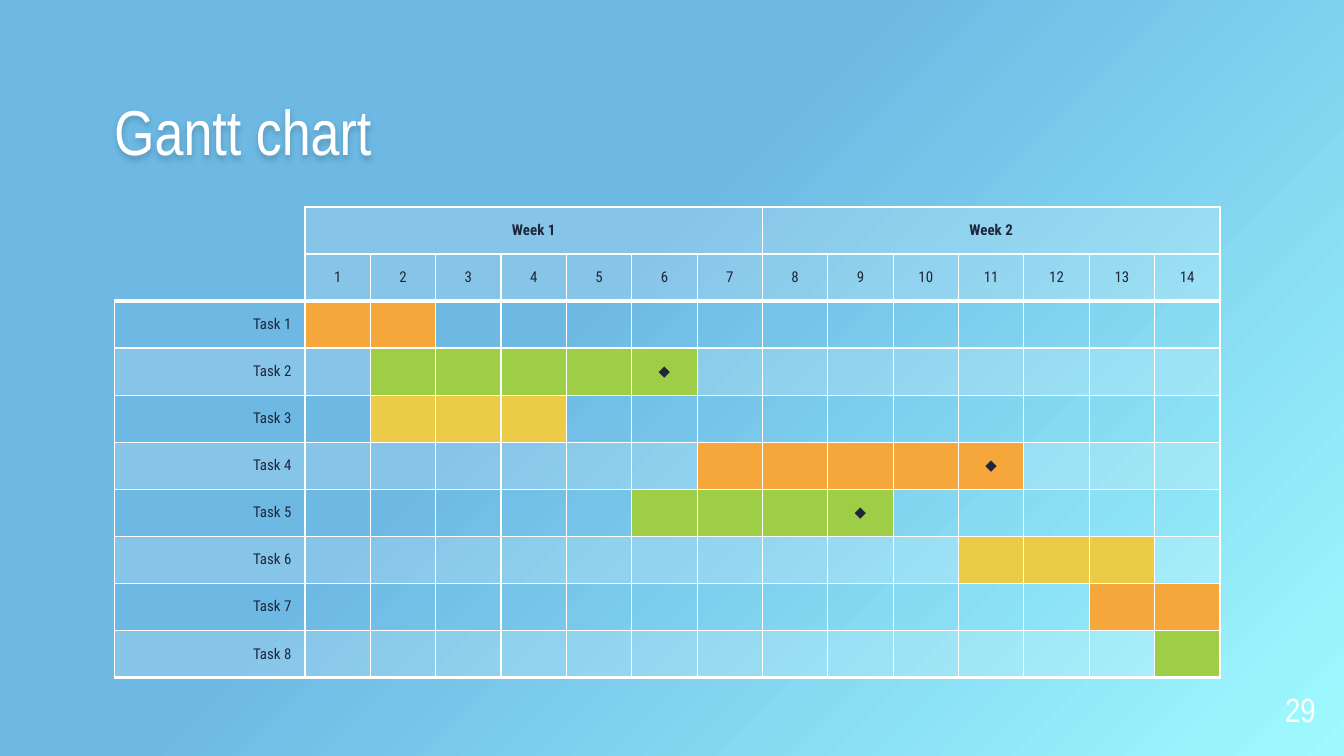
import dataclasses

import lxml.etree
import pptx
import pptx.dml.color
import pptx.enum.text
import pptx.oxml
import pptx.oxml.ns
import pptx.util

Inches = pptx.util.Inches
Pt = pptx.util.Pt
Align = pptx.enum.text.PP_ALIGN
Anchor = pptx.enum.text.MSO_ANCHOR
qn = pptx.oxml.ns.qn


@dataclasses.dataclass(frozen=True)
class Theme:
    white: str = "FFFFFF"
    black: str = "000000"
    ink: str = "1E263A"
    sky: str = "6DB9E4"
    aqua: str = "9FFAFF"
    orange: str = "F5A73B"
    green: str = "9ECE46"
    yellow: str = "ECCB49"
    tint: int = 18
    shade: int = 20
    head: str = "Arial Narrow"
    body: str = "Roboto Condensed"
    title: int = 34
    number: int = 18
    cell: int = 8
    thin: float = 0.75
    thick: float = 2.25


THEME = Theme()
DAYS = 14
WEEK = 7
LABEL = 1.42
WIDTH = 8.23
ROW = 0.35
# First day, last day, colour, milestone at the end
TASKS = [
    (1, 2, THEME.orange, False),
    (2, 6, THEME.green, True),
    (2, 4, THEME.yellow, False),
    (7, 11, THEME.orange, True),
    (6, 9, THEME.green, True),
    (11, 13, THEME.yellow, False),
    (13, 14, THEME.orange, False),
    (14, 14, THEME.green, False),
]
NS = pptx.oxml.ns.nsdecls("a", "p")


def assign(item, values):
    for name, value in values.items():
        setattr(item, name, value)


def style(font, color, **values):
    assign(font, values)
    font.color.rgb = pptx.dml.color.RGBColor.from_string(color)


def paint_back(slide):
    stops = [(0, THEME.aqua), (58, THEME.sky), (100, THEME.sky)]
    marks = "".join(
        f'<a:gs pos="{pos * 1000}"><a:srgbClr val="{color}"/></a:gs>'
        for pos, color in stops)
    back = pptx.oxml.parse_xml(
        f'<p:bg {NS}><p:bgPr><a:gradFill><a:gsLst>{marks}</a:gsLst>'
        '<a:path path="circle"><a:fillToRect l="100000" t="100000"/></a:path>'
        '</a:gradFill><a:effectLst/></p:bgPr></p:bg>')
    slide.element.cSld.insert(0, back)


def write_head(shape, text, box, size, align):
    assign(shape, dict(zip(("left", "top", "width", "height"), map(Inches, box))))
    frame = shape.text_frame
    frame.text = text
    assign(frame, dict(margin_left=0, margin_top=0, margin_right=0, margin_bottom=0,
                       word_wrap=True, vertical_anchor=Anchor.BOTTOM,
                       auto_size=pptx.enum.text.MSO_AUTO_SIZE.NONE))
    line = frame.paragraphs[0]
    assign(line, dict(alignment=align, line_spacing=0.9))
    style(line.runs[0].font, THEME.white, name=THEME.head, size=Pt(size), bold=False)


def add_shade(shape):
    """Give the text of an unfilled shape a soft shadow."""
    shape.element.spPr.append(pptx.oxml.parse_xml(
        f'<a:effectLst {NS}><a:outerShdw blurRad="{Pt(3)}" dist="{Pt(1.5)}" dir="5400000">'
        f'<a:srgbClr val="{THEME.black}"><a:alpha val="{THEME.shade * 1000}"/></a:srgbClr>'
        '</a:outerShdw></a:effectLst>'))


def draw_edges(cell, widths):
    """Draw the L, R, T and B borders; a width of 0 means no line."""
    props = cell._tc.get_or_add_tcPr()
    for side, width in zip("LRTB", widths):
        edge = lxml.etree.SubElement(props, qn(f"a:ln{side}"), w=str(Pt(width)))
        if width:
            fill = lxml.etree.SubElement(edge, qn("a:solidFill"))
            lxml.etree.SubElement(fill, qn("a:srgbClr"), val=THEME.white)
        else:
            lxml.etree.SubElement(edge, qn("a:noFill"))


def fill_cell(cell, color, tint):
    if not color:
        cell.fill.background()
        return
    cell.fill.solid()
    cell.fill.fore_color.rgb = pptx.dml.color.RGBColor.from_string(color)
    if tint:
        mark = cell._tc.tcPr.find(qn("a:solidFill"))[0]
        lxml.etree.SubElement(mark, qn("a:alpha"), val=str(THEME.tint * 1000))


def write_cell(cell, text, align, bold):
    cell.vertical_anchor = Anchor.MIDDLE
    line = cell.text_frame.paragraphs[0]
    line.alignment = align
    if text:
        run = line.add_run()
        run.text = text
        style(run.font, THEME.ink, name=THEME.body, size=Pt(THEME.cell), bold=bold)
    else:
        lxml.etree.SubElement(line._p, qn("a:endParaRPr"), sz=str(THEME.cell * 100))


def plan_cell(row, day):
    """Return the text, bar colour and tint flag of a cell; day 0 is the label."""
    if row == 0:
        text = f"Week {day // WEEK + 1}" if day % WEEK == 1 else ""
        return text, None, day > 0
    if row == 1:
        return str(day) if day else "", None, day > 0
    start, end, color, goal = TASKS[row - 2]
    band = row % 2 == 1
    if day == 0:
        return f"Task {row - 1}", None, band
    if start <= day <= end:
        return "◆" if goal and day == end else "", color, False
    return "", None, band


def plan_edges(row, day, last):
    thin, thick = THEME.thin, THEME.thick
    blank = row < 2 and day == 0
    left = 0 if blank else thin
    top = 0 if blank else thick if row == 2 else thin
    low = thick if row in (1, last) else 0 if blank else thin
    return left, thin, top, low


def add_gantt(slide):
    rows = len(TASKS) + 2
    table = slide.shapes.add_table(
        rows, DAYS + 1, Inches(0.85), Inches(1.54),
        Inches(WIDTH), Inches(rows * ROW)).table
    assign(table, dict(first_row=False, horz_banding=False))
    for day, column in enumerate(table.columns):
        column.width = Inches((WIDTH - LABEL) / DAYS if day else LABEL)
    for row, line in enumerate(table.rows):
        line.height = Inches(ROW)
        for day, cell in enumerate(line.cells):
            text, color, tint = plan_cell(row, day)
            draw_edges(cell, plan_edges(row, day, rows - 1))
            fill_cell(cell, THEME.white if tint else color, tint)
            write_cell(cell, text, Align.CENTER if day else Align.RIGHT, row == 0)
    for day in range(1, DAYS, WEEK):
        table.cell(0, day).merge(table.cell(0, day + WEEK - 1))


def main():
    deck = pptx.Presentation()
    wide = Inches(10)
    assign(deck, dict(slide_width=wide, slide_height=wide * 9 // 16))
    slide = deck.slides.add_slide(deck.slide_layouts[5])
    paint_back(slide)
    title = slide.shapes.title
    write_head(title, "Gantt chart", (0.85, 0.83, 8.3, 0.43), THEME.title, Align.LEFT)
    add_shade(title)
    number = slide.shapes.add_textbox(0, 0, 0, 0)
    write_head(number, "29", (9.19, 5.08, 0.6, 0.35), THEME.number, Align.RIGHT)
    add_gantt(slide)
    deck.save("out.pptx")


if __name__ == "__main__":
    main()
